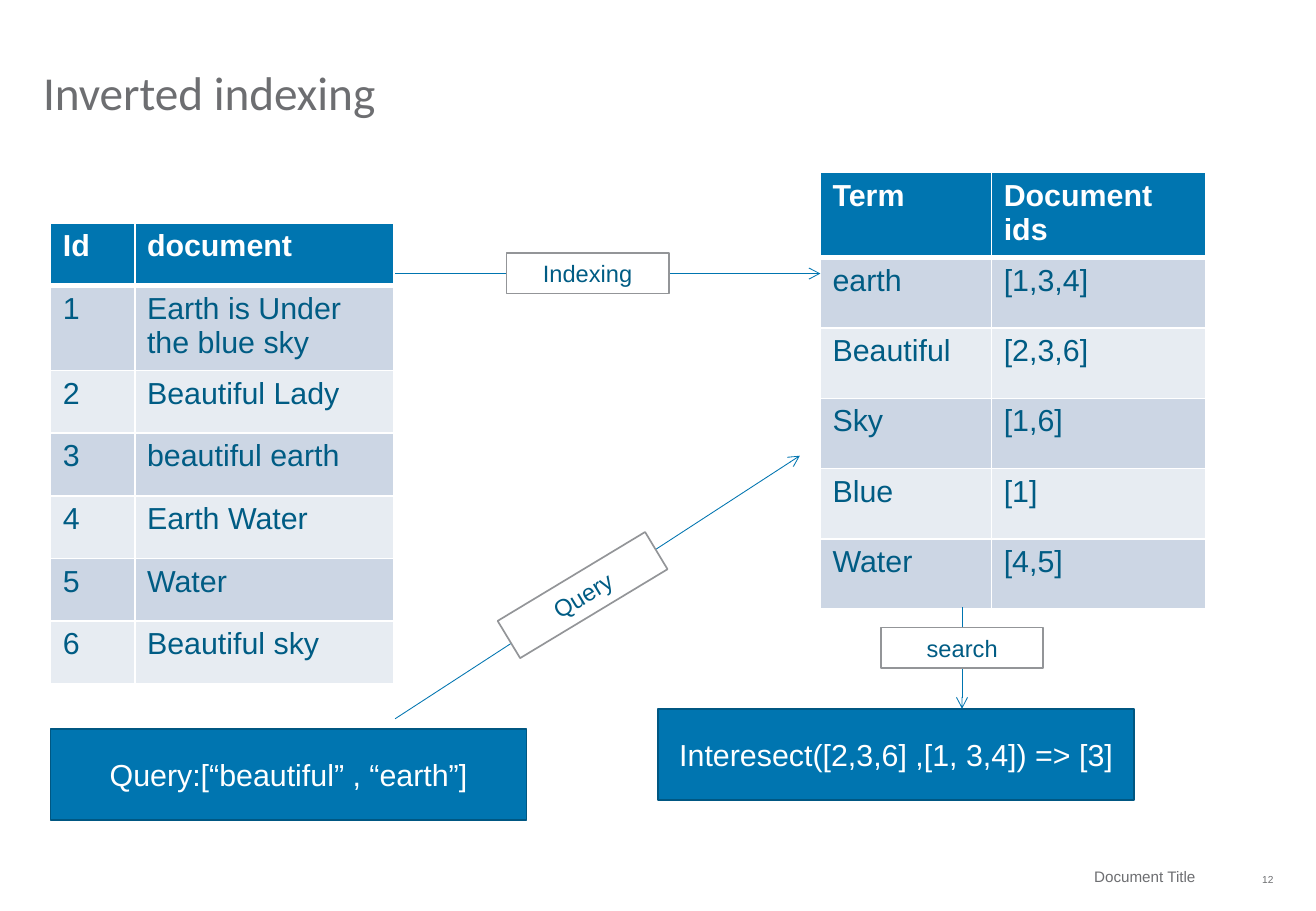
"""Builds a slide that explains inverted indexing with two tables and a query flow."""
from dataclasses import dataclass

from lxml import etree
from pptx import Presentation
from pptx.dml.color import RGBColor
from pptx.enum.shapes import MSO_CONNECTOR, MSO_SHAPE
from pptx.enum.text import MSO_ANCHOR, PP_ALIGN
from pptx.oxml.ns import qn
from pptx.util import Cm, Pt

STRAIGHT = MSO_CONNECTOR.STRAIGHT
RECTANGLE = MSO_SHAPE.RECTANGLE
MIDDLE, BOTTOM = MSO_ANCHOR.MIDDLE, MSO_ANCHOR.BOTTOM
LEFT, CENTER, RIGHT = PP_ALIGN.LEFT, PP_ALIGN.CENTER, PP_ALIGN.RIGHT

BLUE, DARK_BLUE, TEXT_BLUE = "0075B0", "005782", "005C84"
GREY, LABEL_GREY, WHITE = "6D6E71", "939598", "FFFFFF"
BANDS = ("E7ECF2", "CCD6E4")


@dataclass
class Caption:
    text: str
    left: float
    top: float
    width: float
    height: float
    size: float
    align: PP_ALIGN
    anchor: MSO_ANCHOR = MIDDLE
    font: str = "Arial"
    right_inset: float = 0
    line_spacing: float = 1.0


@dataclass
class Box:
    text: str
    left: float
    top: float
    width: float
    height: float
    fill: str
    line: str
    color: str
    size: float
    rotation: float = 0


@dataclass
class Arrow:
    start: tuple[float, float]
    end: tuple[float, float]


@dataclass
class Grid:
    left: float
    top: float
    widths: tuple[float, ...]
    heights: tuple[float, ...]
    rows: tuple[tuple[str, ...], ...]


CAPTIONS = (
    Caption("12", 25.63, 17.98, 0.99, 0.84, 6, RIGHT),
    Caption("Document Title", 15.72, 17.98, 9.65, 0.71, 9, RIGHT, right_inset=0.38),
    Caption("Inverted indexing", 0.9, 0.56, 25.73, 1.96, 28, LEFT, BOTTOM, "Calibri",
            line_spacing=0.9),
)

GRIDS = (
    Grid(1.06, 4.66, (1.76, 5.4), (1.31, 1.58) + (1.31,) * 5, (
        ("Id", "document"),
        ("1", "Earth is Under the blue sky"),
        ("2", "Beautiful Lady"),
        ("3", "beautiful earth"),
        ("4", "Earth Water"),
        ("5", "Water"),
        ("6", "Beautiful sky"),
    )),
    Grid(17.15, 3.61, (3.58, 4.48), (1.47,) * 6, (
        ("Term", "Document ids"),
        ("earth", "[1,3,4]"),
        ("Beautiful", "[2,3,6]"),
        ("Sky", "[1,6]"),
        ("Blue", "[1]"),
        ("Water", "[4,5]"),
    )),
)

ARROWS = (
    Arrow((8.26, 15.03), (16.72, 9.53)),
    Arrow((8.26, 5.72), (17.15, 5.72)),
    Arrow((20.11, 12.7), (20.11, 14.82)),
)

STEPS = (
    Box("Query:[“beautiful” , “earth”]", 1.06, 15.24, 9.95, 1.91, BLUE, DARK_BLUE, WHITE, 18),
    Box("Interesect([2,3,6] ,[1, 3,4]) => [3]", 13.76, 14.82, 9.95, 1.91, BLUE, DARK_BLUE,
        WHITE, 18),
)

LABELS = (
    Box("Indexing", 10.59, 5.29, 3.39, 0.85, WHITE, LABEL_GREY, TEXT_BLUE, 14),
    Box("Query", 10.38, 11.99, 3.6, 0.91, WHITE, LABEL_GREY, TEXT_BLUE, 14, 328.9),
    Box("search", 18.42, 13.12, 3.39, 0.85, WHITE, LABEL_GREY, TEXT_BLUE, 14),
)


def rgb(value: str) -> RGBColor:
    return RGBColor.from_string(value)


def write(frame, text: str, size: float, color: str, align=LEFT, font="Arial", bold=False):
    frame.word_wrap = True
    paragraph = frame.paragraphs[0]
    paragraph.alignment = align
    run = paragraph.add_run()
    run.text = text
    run.font.name, run.font.size, run.font.bold = font, Pt(size), bold
    run.font.color.rgb = rgb(color)
    return paragraph


def draw_caption(slide, caption: Caption) -> None:
    frame = slide.shapes.add_textbox(Cm(caption.left), Cm(caption.top),
                                     Cm(caption.width), Cm(caption.height)).text_frame
    frame.margin_left = frame.margin_top = frame.margin_bottom = 0
    frame.margin_right = Cm(caption.right_inset)
    frame.vertical_anchor = caption.anchor
    paragraph = write(frame, caption.text, caption.size, GREY, caption.align, caption.font)
    paragraph.line_spacing = caption.line_spacing


def draw_box(slide, box: Box) -> None:
    shape = slide.shapes.add_shape(RECTANGLE, Cm(box.left), Cm(box.top),
                                   Cm(box.width), Cm(box.height))
    shape.shadow.inherit = False
    shape.rotation = box.rotation
    shape.fill.solid()
    shape.fill.fore_color.rgb = rgb(box.fill)
    shape.line.color.rgb = rgb(box.line)
    shape.line.width = Pt(1)
    shape.text_frame.vertical_anchor = MIDDLE
    write(shape.text_frame, box.text, box.size, box.color, CENTER)


def draw_arrow(slide, arrow: Arrow) -> None:
    connector = slide.shapes.add_connector(STRAIGHT, *map(Cm, arrow.start + arrow.end))
    connector.line.color.rgb = rgb(BLUE)
    connector.line.width = Pt(0.5)
    etree.SubElement(connector.line._get_or_add_ln(), qn("a:tailEnd"), type="arrow")
    etree.SubElement(connector._element.spPr, qn("a:effectLst"))


def add_borders(cell, row: int) -> None:
    properties = cell._tc.get_or_add_tcPr()
    widths = {"L": 1, "R": 1, "T": 3 if row == 1 else 1, "B": 3 if row == 0 else 1}
    for side, width in widths.items():
        border = etree.SubElement(properties, qn(f"a:ln{side}"), w=str(Pt(width)))
        fill = etree.SubElement(border, qn("a:solidFill"))
        etree.SubElement(fill, qn("a:srgbClr"), val=WHITE)


def draw_grid(slide, grid: Grid) -> None:
    table = slide.shapes.add_table(len(grid.heights), len(grid.widths), Cm(grid.left),
                                   Cm(grid.top), Cm(sum(grid.widths)),
                                   Cm(sum(grid.heights))).table
    for column, width in zip(table.columns, grid.widths):
        column.width = Cm(width)
    for index, (height, texts) in enumerate(zip(grid.heights, grid.rows)):
        table.rows[index].height = Cm(height)
        header = index == 0
        for cell, text in zip(table.rows[index].cells, texts):
            add_borders(cell, index)
            cell.fill.solid()
            cell.fill.fore_color.rgb = rgb(BLUE if header else BANDS[index % 2])
            write(cell.text_frame, text, 18, WHITE if header else TEXT_BLUE, bold=header)


def main() -> None:
    presentation = Presentation()
    presentation.slide_width, presentation.slide_height = Cm(27.51), Cm(19.05)
    slide = presentation.slides.add_slide(presentation.slide_layouts[6])
    for draw, items in ((draw_caption, CAPTIONS), (draw_grid, GRIDS), (draw_box, STEPS),
                        (draw_arrow, ARROWS), (draw_box, LABELS)):
        for item in items:
            draw(slide, item)
    presentation.save("out.pptx")


if __name__ == "__main__":
    main()
